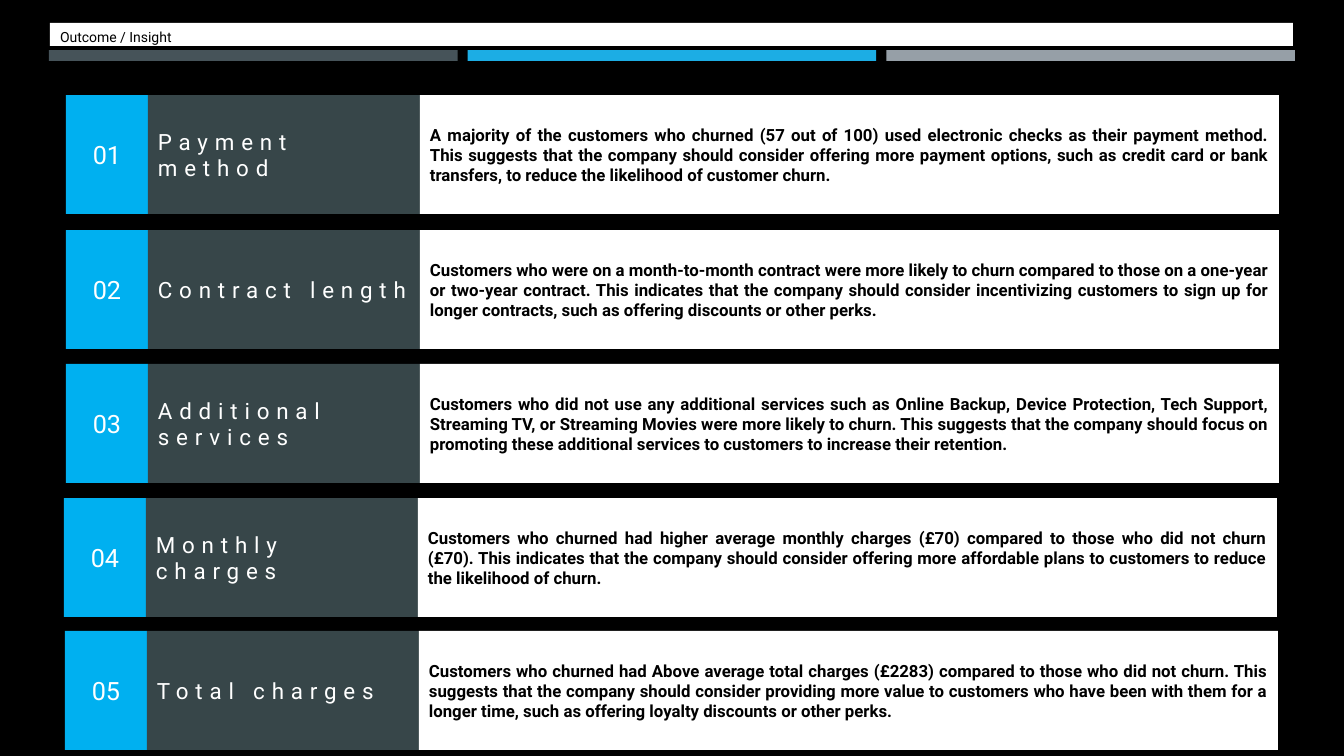
from pptx import Presentation
from pptx import util as u
from pptx.dml import color
from pptx.enum import shapes, text

EMU_PER_PX = 914400 / 100.8

NUMBER = {"size": u.Pt(18), "name": "Roboto"}
TOPIC = {"size": u.Pt(16), "name": "Roboto"}
INSIGHT = {"size": u.Pt(12), "name": "Roboto", "bold": True}
HEADING = {"size": u.Pt(10), "name": "Roboto"}
TOPIC_SPACING = "490"

# Left, top, topic and insight of each row
ROWS = [
    (66, 95, "Payment method",
     "A majority of the customers who churned (57 out of 100) used electronic checks as "
     "their payment method. This suggests that the company should consider offering more "
     "payment options, such as credit card or bank transfers, to reduce the likelihood of "
     "customer churn."),
    (66, 230, "Contract length",
     "Customers who were on a month-to-month contract were more likely to churn compared to "
     "those on a one-year or two-year contract. This indicates that the company should "
     "consider incentivizing customers to sign up for longer contracts, such as offering "
     "discounts or other perks."),
    (66, 364, "Additional services",
     "Customers who did not use any additional services such as Online Backup, Device "
     "Protection, Tech Support, Streaming TV, or Streaming Movies were more likely to churn. "
     "This suggests that the company should focus on promoting these additional services to "
     "customers to increase their retention."),
    (64, 498, "Monthly charges",
     "Customers who churned had higher average monthly charges (£70) compared to those who "
     "did not churn (£70). This indicates that the company should consider offering more "
     "affordable plans to customers to reduce the likelihood of churn."),
    (65, 631, "Total charges",
     "Customers who churned had Above average total charges (£2283) compared to those who "
     "did not churn. This suggests that the company should consider providing more value to "
     "customers who have been with them for a longer time, such as offering loyalty "
     "discounts or other perks."),
]


def px(*lengths):
    return [u.Emu(round(length * EMU_PER_PX)) for length in lengths]


def rgb(value):
    return color.RGBColor.from_string(value)


def add_rectangle(parent, box, fill):
    shape = parent.shapes.add_shape(shapes.MSO_SHAPE.RECTANGLE, *px(*box))
    shape.shadow.inherit = False
    shape.fill.solid()
    shape.fill.fore_color.rgb = rgb(fill)
    shape.line.fill.background()
    return shape


def write(shape, words, font_values, font_color, align, spacing=None):
    paragraph = shape.text_frame.paragraphs[0]
    paragraph.alignment = align
    run = paragraph.add_run()
    run.text = words
    for name, value in font_values.items():
        setattr(run.font, name, value)
    run.font.color.rgb = rgb(font_color)
    if spacing:
        run.font._element.set("spc", spacing)


def add_accent_bars(slide, left, top, width, height):
    gap = 10
    bar_width = (width - 2 * gap) / 3
    for index, fill in enumerate(["465359", "1CADE4", "969FA7"]):
        bar_left = left + index * (bar_width + gap)
        add_rectangle(slide, (bar_left, top, bar_width, height), fill)


def add_heading(slide, left, top, width, height):
    group = slide.shapes.add_group_shape()
    add_rectangle(group, (left, top, width, height), "FFFFFF")
    label = group.shapes.add_textbox(*px(left + 10, top + 6, 208, 10))
    frame_values = {"margin_left": 0, "margin_top": 0, "margin_right": 0, "margin_bottom": 0,
                    "word_wrap": True, "auto_size": text.MSO_AUTO_SIZE.SHAPE_TO_FIT_TEXT}
    for name, value in frame_values.items():
        setattr(label.text_frame, name, value)
    write(label, "Outcome / Insight", HEADING, "000000", text.PP_ALIGN.LEFT)


def add_insight_row(slide, left, top, width, height, number, topic, insight):
    group = slide.shapes.add_group_shape()
    number_width, topic_width = 82, 272
    insight_width = width - number_width - topic_width
    cells = [
        (number_width, "00B0F0", number, NUMBER, "FFFFFF", text.PP_ALIGN.CENTER, None),
        (topic_width, "374649", topic, TOPIC, "FFFFFF", text.PP_ALIGN.LEFT, TOPIC_SPACING),
        (insight_width, "FFFFFF", insight, INSIGHT, "000000", text.PP_ALIGN.JUSTIFY, None),
    ]
    for cell_width, fill, *wording in cells:
        cell = add_rectangle(group, (left, top, cell_width, height), fill)
        cell.text_frame.word_wrap = True
        cell.text_frame.vertical_anchor = text.MSO_ANCHOR.MIDDLE
        write(cell, *wording)
        left += cell_width


def main():
    presentation = Presentation()
    presentation.slide_width, presentation.slide_height = px(1344, 756)
    slide = presentation.slides.add_slide(presentation.slide_layouts[6])
    slide.background.fill.solid()
    slide.background.fill.fore_color.rgb = rgb("000000")

    # Top band
    add_accent_bars(slide, 49, 50, 1246, 11)
    add_heading(slide, 50, 23, 1243, 23)

    # Numbered insights
    for index, (left, top, topic, insight) in enumerate(ROWS, start=1):
        add_insight_row(slide, left, top, 1213, 119, f"{index:02}", topic, insight)

    presentation.save("out.pptx")


if __name__ == "__main__":
    main()
